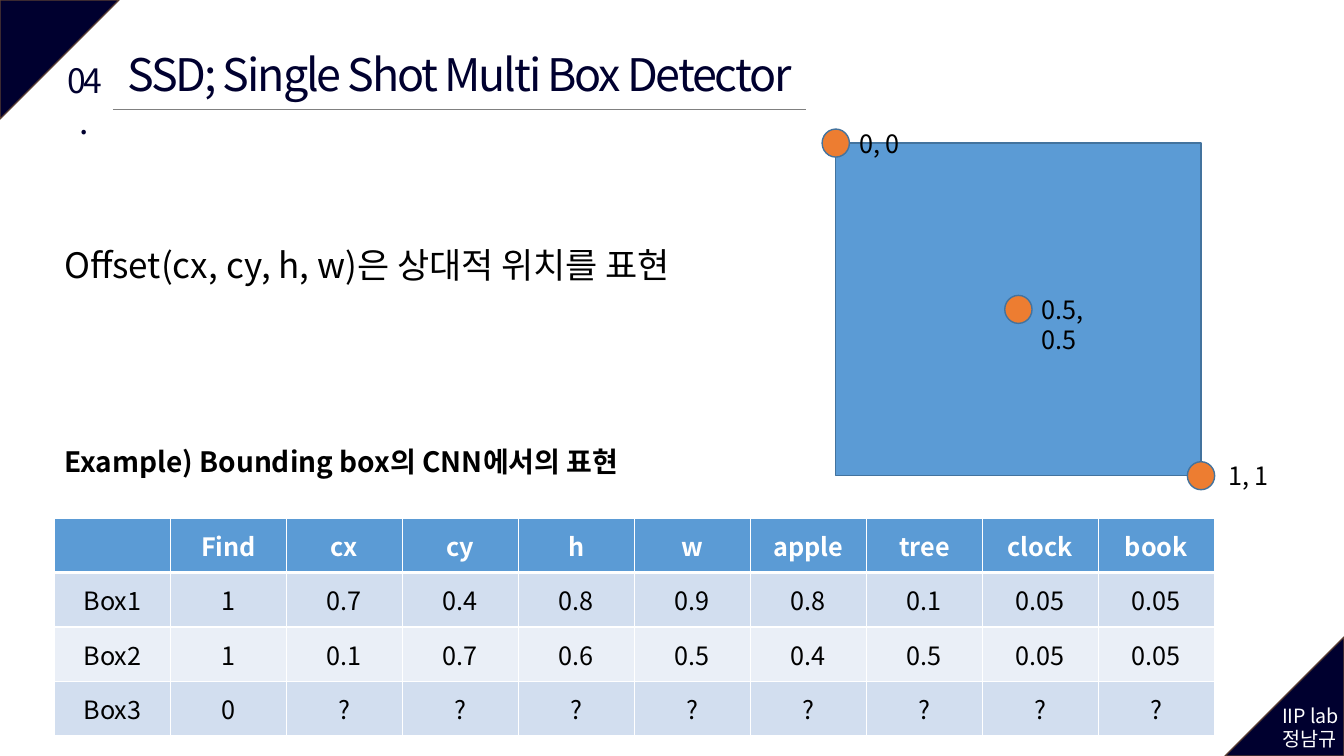
from pptx import Presentation
from pptx.dml.color import RGBColor
from pptx.enum.shapes import MSO_CONNECTOR, MSO_SHAPE
from pptx.enum.text import MSO_ANCHOR, PP_ALIGN
from pptx.oxml.ns import qn
from pptx.util import Pt
from lxml import etree

LEFT, MID = PP_ALIGN.LEFT, PP_ALIGN.CENTER
CENTER = MSO_ANCHOR.MIDDLE
RECT, OVAL, WEDGE = MSO_SHAPE.RECTANGLE, MSO_SHAPE.OVAL, MSO_SHAPE.ISOSCELES_TRIANGLE
LINE = MSO_CONNECTOR.STRAIGHT
FONT = "Noto Sans CJK KR"
HUE = {
    "navy": "00002F", "brown": "5B3F33", "white": "FFFFFF", "black": "000000",
    "blue": "5B9BD5", "edge": "43739E", "orange": "ED7D31", "gray": "808080",
    "band": "D2DEEF", "pale": "EAEFF7",
}
WIDE, HIGH = 960, 540


def color(name):
    return RGBColor.from_string(HUE[name])


def write(para, text, size=18, hue="black", bold=False, align=LEFT, track=0):
    para.alignment = align
    run = para.add_run()
    run.text = text
    font = run.font
    font.name, font.size, font.bold = FONT, Pt(size), bold
    font.color.rgb = color(hue)
    props = run._r.get_or_add_rPr()
    if track:
        props.set("spc", str(int(track * 100)))
    east = etree.Element(qn("a:ea"), typeface=FONT)
    props.find(qn("a:latin")).addnext(east)


class Deck:
    def __init__(self, slide, edge="edge", weight=1):
        self.shapes = slide.shapes
        self.edge, self.weight = edge, weight

    def shape(self, kind, x, y, w, h, fill, edge=None):
        item = self.shapes.add_shape(kind, Pt(x), Pt(y), Pt(w), Pt(h))
        item.shadow.inherit = False
        item.fill.solid()
        item.fill.fore_color.rgb = color(fill)
        item.line.color.rgb = color(edge or self.edge)
        item.line.width = Pt(self.weight)
        return item

    def corner(self, x, y, turn, side=85):
        item = self.shape(WEDGE, x, y, side, side, "navy", "brown")
        item.adjustments[0] = 0
        item.rotation = turn

    def text(self, x, y, w, h, text, pad=7.2, **form):
        frame = self.shapes.add_textbox(Pt(x), Pt(y), Pt(w), Pt(h)).text_frame
        frame.word_wrap = True
        frame.margin_left = frame.margin_right = Pt(pad)
        for i, row in enumerate(text.split("\n")):
            para = frame.add_paragraph() if i else frame.paragraphs[0]
            write(para, row, **form)
        return frame

    def rule(self, x, y, end, hue, weight):
        item = self.shapes.add_connector(LINE, Pt(x), Pt(y), Pt(end), Pt(y))
        item.line.color.rgb = color(hue)
        item.line.width = Pt(weight)
        etree.SubElement(item._element.spPr, qn("a:effectLst"))

    def border(self, cell, **sides):
        props = cell._tc.get_or_add_tcPr()
        for i, (side, weight) in enumerate(sides.items()):
            line = etree.Element(qn("a:ln" + side), w=str(Pt(weight)))
            fill = etree.SubElement(line, qn("a:solidFill"))
            etree.SubElement(fill, qn("a:srgbClr"), val=HUE["white"])
            props.insert(i, line)

    def table(self, x, y, w, h, rows):
        grid = self.shapes.add_table(
            len(rows), len(rows[0]), Pt(x), Pt(y), Pt(w), Pt(h)).table
        for col in grid.columns:
            col.width = Pt(w / len(rows[0]))
        for r, row in enumerate(rows):
            grid.rows[r].height = Pt(h / len(rows))
            head = r == 0
            fill = "blue" if head else "band" if r % 2 else "pale"
            for c, text in enumerate(row):
                cell = grid.cell(r, c)
                cell.vertical_anchor = CENTER
                cell.fill.solid()
                cell.fill.fore_color.rgb = color(fill)
                write(cell.text_frame.paragraphs[0], text, bold=head,
                      hue="white" if head else "black", align=MID)
                self.border(cell, L=1, R=1, T=3 if r == 1 else 1, B=3 if head else 1)


def main():
    show = Presentation()
    show.slide_width, show.slide_height = Pt(WIDE), Pt(HIGH)
    deck = Deck(show.slides.add_slide(show.slide_layouts[6]))

    # Corners and author
    deck.corner(0, 0, 90)
    deck.corner(WIDE - 85, HIGH - 85, 270)
    deck.text(915.8, 499, 44, 41, "IIP lab\n정남규", pad=0, size=14, hue="white")

    # Heading
    deck.rule(80.6, 77.8, 576, "gray", 0.5)
    deck.text(80.6, 29.5, 495.4, 46, "SSD; Single Shot Multi Box Detector",
              size=32, hue="navy", align=MID, track=-1.5)
    deck.text(38.9, 39.6, 41.8, 36, "04.", size=24, hue="navy", align=MID, track=-1.5)

    # Offset statement and example title
    body = deck.text(38.9, 170.6, 491.8, 193, "Offset(cx, cy, h, w)은 상대적 위치를 표현", size=25)
    note = body.add_paragraph()
    note.space_before = Pt(113.6)
    write(note, "Example) Bounding box의 CNN에서의 표현", size=20, bold=True)

    # Example values
    deck.table(38.9, 370.1, 828.7, 155.5, [
        ["", "Find", "cx", "cy", "h", "w", "apple", "tree", "clock", "book"],
        ["Box1", "1", "0.7", "0.4", "0.8", "0.9", "0.8", "0.1", "0.05", "0.05"],
        ["Box2", "1", "0.1", "0.7", "0.6", "0.5", "0.4", "0.5", "0.05", "0.05"],
        ["Box3", "0"] + ["?"] * 8,
    ])

    # Unit square with relative positions
    x, y, w, h = 597, 102.2, 260.9, 237.6
    dot_w, dot_h = 19.5, 20
    deck.shape(RECT, x, y, w, h, "blue")
    for part, label, gap, width in [
        (0, "0, 0", 9.7, 44.6), (0.5, "0.5, 0.5", 9.7, 72.7), (1, "1, 1", 12.2, 44.6),
    ]:
        mid_x, mid_y = x + part * w, y + part * h
        deck.shape(OVAL, mid_x - dot_w / 2, mid_y - dot_h / 2, dot_w, dot_h, "orange")
        deck.text(mid_x + gap, mid_y - 14.4, width, 29, label)

    show.save("out.pptx")


if __name__ == "__main__":
    main()
